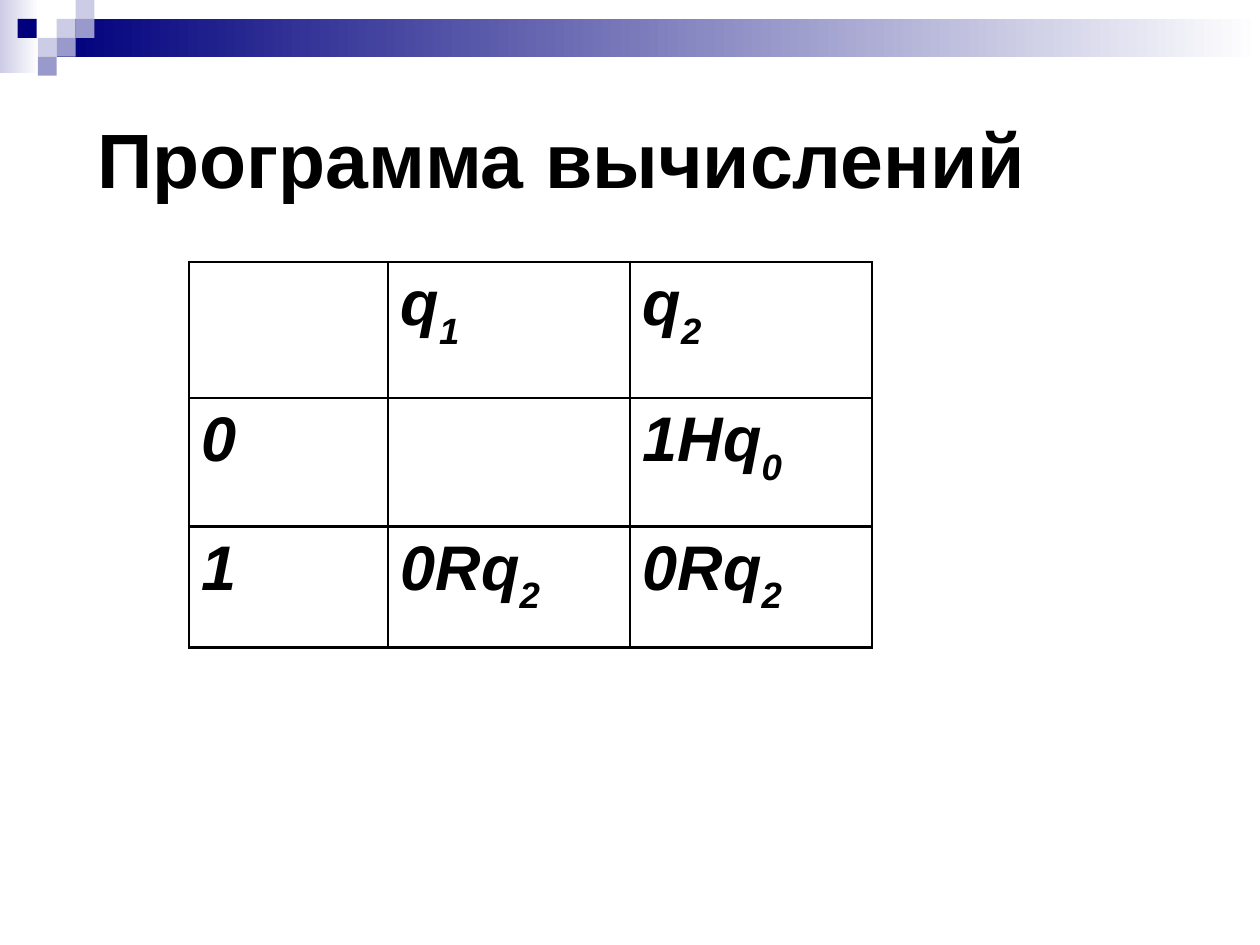
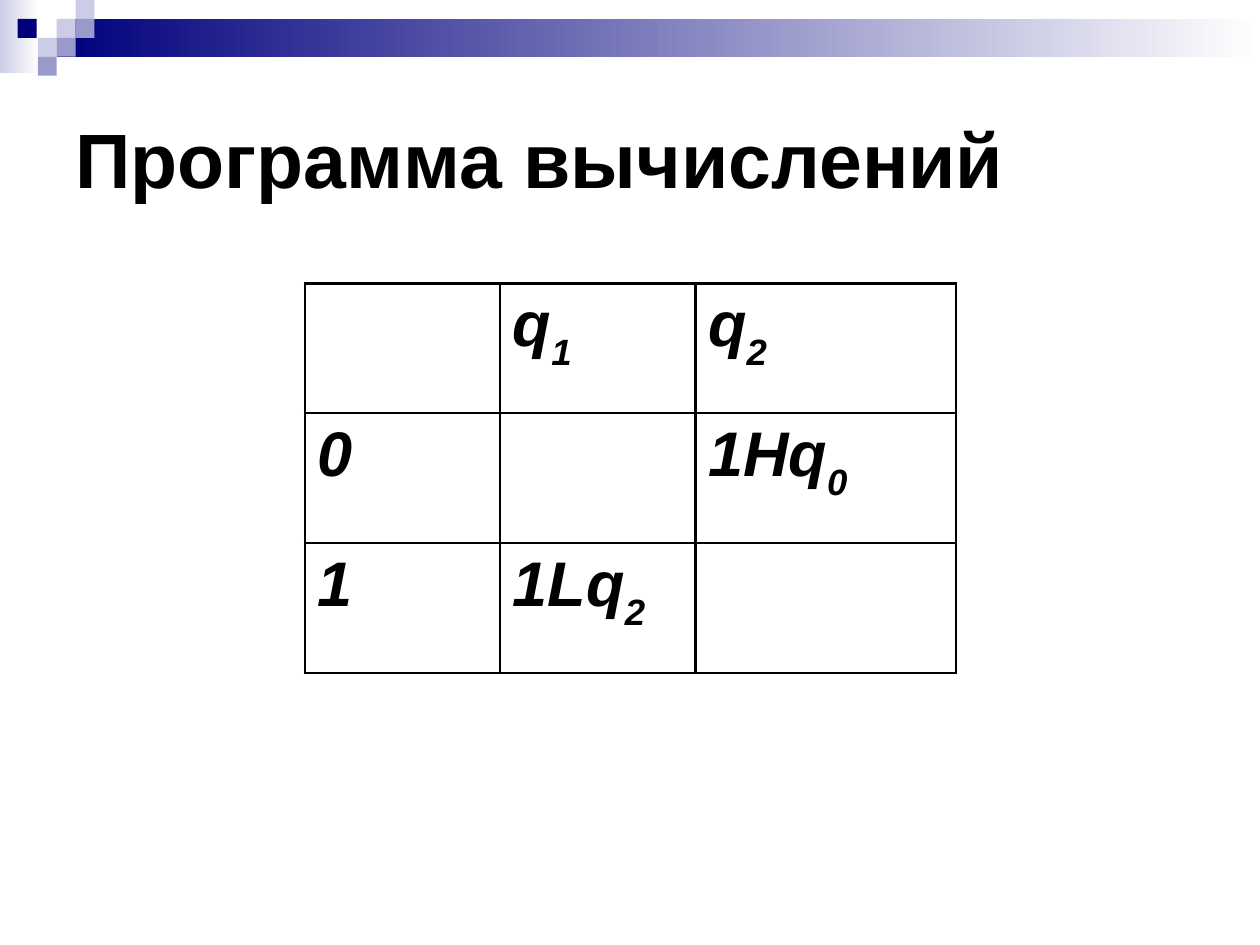
"""Build two slides with Turing machine transition tables."""
from lxml.etree import SubElement
from pptx import Presentation
from pptx.dml.color import RGBColor
from pptx.enum.shapes import MSO_SHAPE
from pptx.enum.text import MSO_ANCHOR, PP_ALIGN
from pptx.oxml.ns import qn
from pptx.util import Inches, Pt

COLORS = {"text": "000000", "white": "FFFFFF", "navy": "00007D",
          "lilac": "CCCCE6", "violet": "9999CC"}
FONT = "Arial"
TITLE = "Программа вычислений"
SLIDES = [
    {"title_left": 0.67, "table_at": (1.5, 2.08),
     "cols": (1.58, 1.92, 1.92), "rows": (1.08, 1.02, 0.96),
     "cells": [("", "q_1", "q_2"), ("0", "", "1Hq_0"), ("1", "0Rq_2", "0Rq_2")]},
    {"title_left": 0.5, "table_at": (2.42, 2.25),
     "cols": (1.55, 1.55, 2.07), "rows": (1.03, 1.03, 1.03),
     "cells": [("", "q_1", "q_2"), ("0", "", "1Hq_0"), ("1", "1Lq_2", "")]},
]
BANDS = [((0, 0, 0.31, 0.58), "lilac"), ((0.45, 0.15, 9.55, 0.3), "navy")]
SQUARE = 0.15
SQUARES = [(0.45, 0.15, "lilac"), (0.6, 0, "lilac"), (0.6, 0.15, "violet"),
           (0.3, 0.3, "lilac"), (0.14, 0.15, "navy"), (0.45, 0.3, "violet"),
           (0.3, 0.45, "violet")]


def rgb(name):
    return RGBColor.from_string(COLORS[name])


def style(font, size, italic=False):
    font.name, font.size, font.bold, font.italic = FONT, Pt(size), True, italic
    font.color.rgb = rgb("text")


def add_rect(s, box):
    sp = s.shapes.add_shape(MSO_SHAPE.RECTANGLE, *map(Inches, box))
    sp.shadow.inherit = False
    sp.line.fill.background()
    return sp


def decorate(layout, s):
    for ph in list(layout.placeholders)[1:]:
        ph.element.getparent().remove(ph.element)
    parts = []
    for box, color in BANDS:
        sp = add_rect(s, box)
        sp.fill.gradient()
        sp.fill.gradient_angle = 0
        for stop, name in zip(sp.fill.gradient_stops, (color, "white")):
            stop.color.rgb = rgb(name)
        parts.append(sp)
    for left, top, color in SQUARES:
        sp = add_rect(s, (left, top, SQUARE, SQUARE))
        sp.fill.solid()
        sp.fill.fore_color.rgb = rgb(color)
        parts.append(sp)
    for sp in parts:
        layout.shapes.element.append(sp.element)


def add_title(s, left):
    sp = s.shapes.title
    sp.left, sp.top, sp.width, sp.height = map(Inches, (left, 0.5, 9, 1.5))
    tf = sp.text_frame
    tf.text = TITLE
    tf.vertical_anchor = MSO_ANCHOR.MIDDLE
    p = tf.paragraphs[0]
    p.alignment = PP_ALIGN.LEFT
    style(p.runs[0].font, 44)


def format_cell(cell, text):
    tc_pr = cell._tc.get_or_add_tcPr()
    for side in ("lnL", "lnR", "lnT", "lnB"):
        ln = SubElement(tc_pr, qn("a:" + side), w=str(Pt(1.47)))
        fill = SubElement(ln, qn("a:solidFill"))
        SubElement(fill, qn("a:srgbClr"), val=COLORS["text"])
    cell.fill.background()
    if not text:
        return
    p = cell.text_frame.paragraphs[0]
    p.alignment = PP_ALIGN.JUSTIFY
    for i, part in enumerate(text.split("_")):
        r = p.add_run()
        r.text = part
        style(r.font, 36, italic=True)
        if i:
            r.font._element.set("baseline", "-30000")


def add_state_table(s, data):
    cols, rows = data["cols"], data["rows"]
    box = (*data["table_at"], sum(cols), sum(rows))
    table = s.shapes.add_table(len(rows), len(cols), *map(Inches, box)).table
    table.horz_banding = table.first_row = False
    for col, width in zip(table.columns, cols):
        col.width = Inches(width)
    for row, height, texts in zip(table.rows, rows, data["cells"]):
        row.height = Inches(height)
        for cell, text in zip(row.cells, texts):
            format_cell(cell, text)


def main():
    prs = Presentation()
    prs.slide_width, prs.slide_height = Inches(10), Inches(7.5)
    layout = prs.slide_layouts[5]
    for i, data in enumerate(SLIDES):
        s = prs.slides.add_slide(layout)
        if i == 0:
            decorate(layout, s)
        add_title(s, data["title_left"])
        add_state_table(s, data)
    prs.save("out.pptx")


if __name__ == "__main__":
    main()
